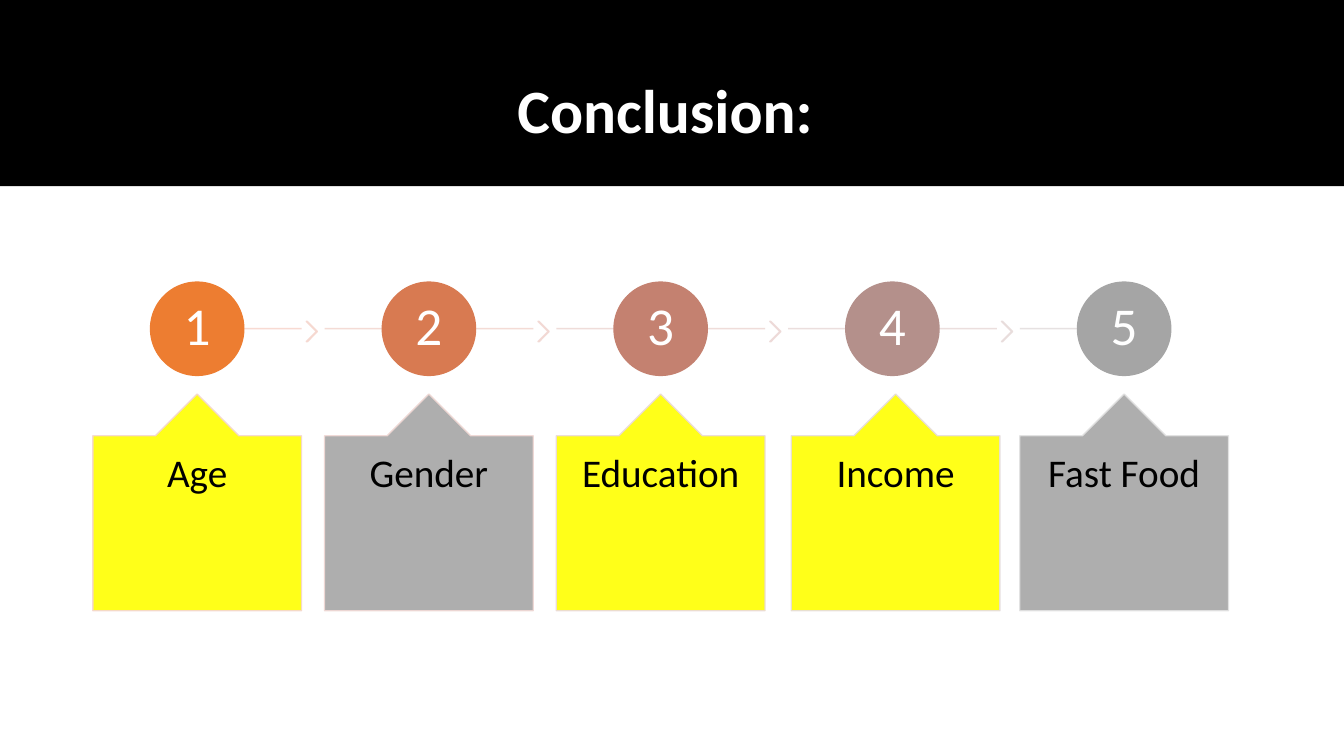
"""Build the conclusion slide: five numbered steps, each with a callout below."""
from dataclasses import dataclass

from lxml import etree
from pptx import Presentation
from pptx import util as u
from pptx.dml.color import RGBColor
from pptx.enum import shapes, text
from pptx.oxml.ns import qn


@dataclass(frozen=True)
class Theme:
    font: str = "Calibri"
    black: str = "000000"
    white: str = "FFFFFF"
    yellow: str = "FFFF00"
    gray: str = "A6A6A6"
    title_size: int = 44
    number_size: int = 38
    label_size: int = 28
    opacity: int = 90


theme = Theme()


def paint(shape, fill, line=None, opacity=100):
    shape.shadow.inherit = False
    shape.fill.solid()
    shape.fill.fore_color.rgb = RGBColor.from_string(fill)
    if line:
        shape.line.color.rgb = RGBColor.from_string(line)
        shape.line.width = u.Pt(1)
    else:
        shape.line.fill.background()
    if opacity < 100:
        for color in shape.element.spPr.iter(qn("a:srgbClr")):
            etree.SubElement(color, qn("a:alpha"), val=str(opacity * 1000))


def write(shape, words, size, color, anchor, margins=None, bold=False):
    frame = shape.text_frame
    frame.text = words
    frame.word_wrap = True
    frame.auto_size = text.MSO_AUTO_SIZE.NONE
    frame.vertical_anchor = anchor
    if margins:
        frame.margin_left = frame.margin_right = u.Cm(margins[0])
        frame.margin_top = frame.margin_bottom = u.Cm(margins[1])
    paragraph = frame.paragraphs[0]
    paragraph.alignment = text.PP_ALIGN.CENTER
    paragraph.line_spacing = 0.9
    paragraph.font.name = theme.font
    paragraph.font.size = u.Pt(size)
    paragraph.font.bold = bold
    paragraph.font.color.rgb = RGBColor.from_string(color)


presentation = Presentation()
presentation.slide_width = u.Cm(33.87)
presentation.slide_height = u.Cm(19.05)
slide = presentation.slides.add_slide(presentation.slide_layouts[5])

band_height = 4.7
for top, height, color in [(0, band_height, theme.black),
                           (band_height, 19.05 - band_height, theme.white)]:
    panel = slide.shapes.add_shape(shapes.MSO_SHAPE.RECTANGLE, 0, u.Cm(top),
                                   presentation.slide_width, u.Cm(height))
    paint(panel, color)

title = slide.shapes.title
title.left, title.top, title.width, title.height = u.Cm(2.34), u.Cm(1.02), u.Cm(29.21), u.Cm(3.68)
write(title, "Conclusion: ", theme.title_size, theme.white, text.MSO_ANCHOR.MIDDLE, bold=True)
title.text_frame.paragraphs[0].space_after = u.Pt(12)
title.element.getparent().append(title.element)

first_left, pitch, box_width = 2.34, 5.84, 5.26
circle_size, circle_top, rail_y = 2.35, 7.11, 8.28
income_shift = 0.08

steps = [
    ("Age", theme.yellow, 0, "ED7D31", "F8D7CE", "F6D7CF", "F5D7D0"),
    ("Gender", theme.gray, 0, "D87A51", "F3D8D1", "F2D8D3", "F0D8D4"),
    ("Education", theme.yellow, 0, "C48170", "EED9D5", "EDD9D7", "EBDAD8"),
    ("Income", theme.yellow, income_shift, "B4908B", "E9DBDA", "E8DCDB", "E6DDDC"),
    ("Fast Food", theme.gray, 0, "A5A5A5", "E4DEDE", None, "E1E1E1"),
]

for index, (label, box_color, shift, circle_color, rail_color, chevron_color, edge_color) in enumerate(steps):
    left = first_left + index * pitch
    middle = left + box_width / 2
    rail_start = middle if index == 0 else left
    rail_end = middle if index == len(steps) - 1 else left + box_width

    rail = slide.shapes.add_connector(shapes.MSO_CONNECTOR.STRAIGHT, u.Cm(rail_start),
                                      u.Cm(rail_y), u.Cm(rail_end), u.Cm(rail_y))
    rail.line.color.rgb = RGBColor.from_string(rail_color)
    rail.line.width = u.Pt(1)
    rail_rgb = next(rail.element.spPr.iter(qn("a:srgbClr")))
    etree.SubElement(rail_rgb, qn("a:alpha"), val=str(theme.opacity * 1000))
    etree.SubElement(rail.element.spPr, qn("a:effectLst"))

    if chevron_color:
        chevron = slide.shapes.add_shape(shapes.MSO_SHAPE.CHEVRON, u.Cm(left + 5.38),
                                         u.Cm(8.1), u.Cm(0.28), u.Cm(0.51))
        chevron.adjustments[0] = 0.9
        paint(chevron, chevron_color, chevron_color, theme.opacity)

    circle = slide.shapes.add_shape(shapes.MSO_SHAPE.OVAL, u.Cm(middle - circle_size / 2),
                                    u.Cm(circle_top), u.Cm(circle_size), u.Cm(circle_size))
    paint(circle, circle_color, circle_color)
    write(circle, str(index + 1), theme.number_size, theme.white,
          text.MSO_ANCHOR.MIDDLE, (0.1, 0.1))

    callout = slide.shapes.add_shape(shapes.MSO_SHAPE.UP_ARROW_CALLOUT, u.Cm(left + shift),
                                     u.Cm(9.93), u.Cm(box_width), u.Cm(5.46))
    for position, value in enumerate([0.5, 0.2, 0.2, 1]):
        callout.adjustments[position] = value
    paint(callout, box_color, edge_color, theme.opacity)
    write(callout, label, theme.label_size, theme.black, text.MSO_ANCHOR.TOP, (0.41, 0.46))

presentation.save("out.pptx")
